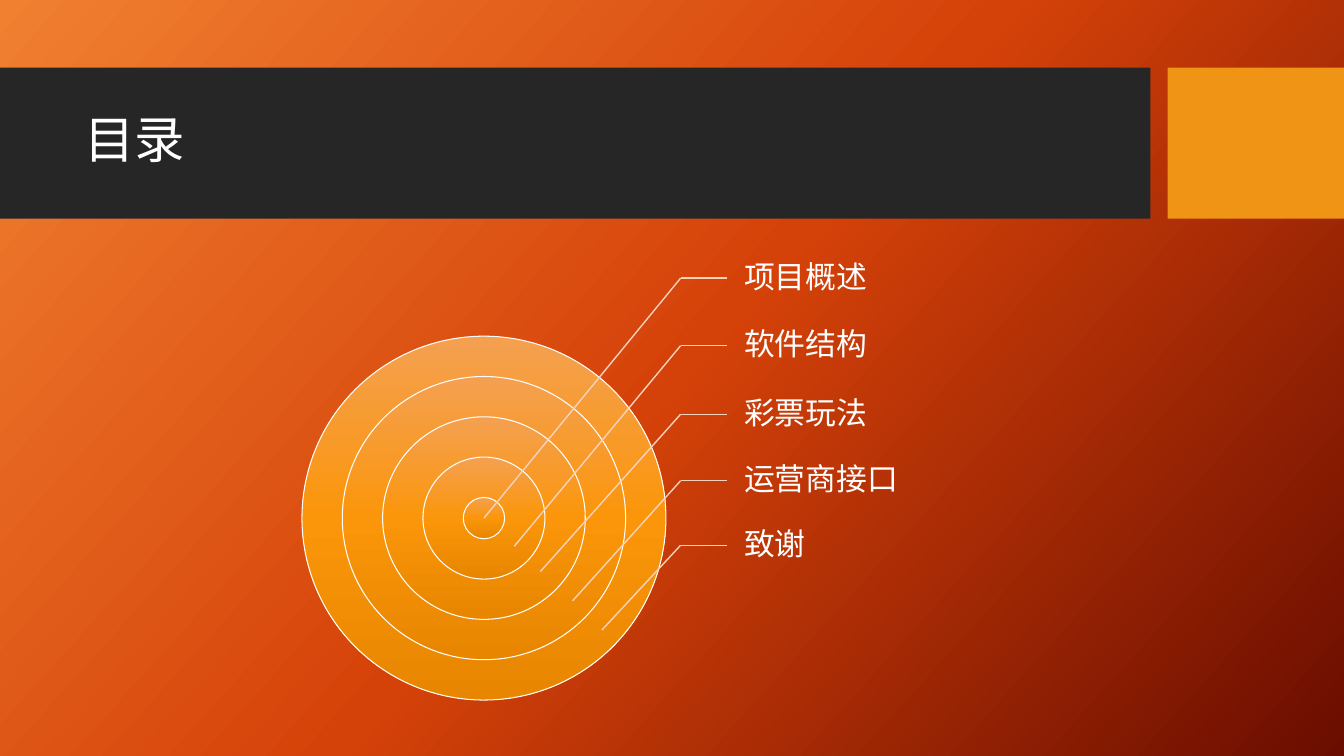
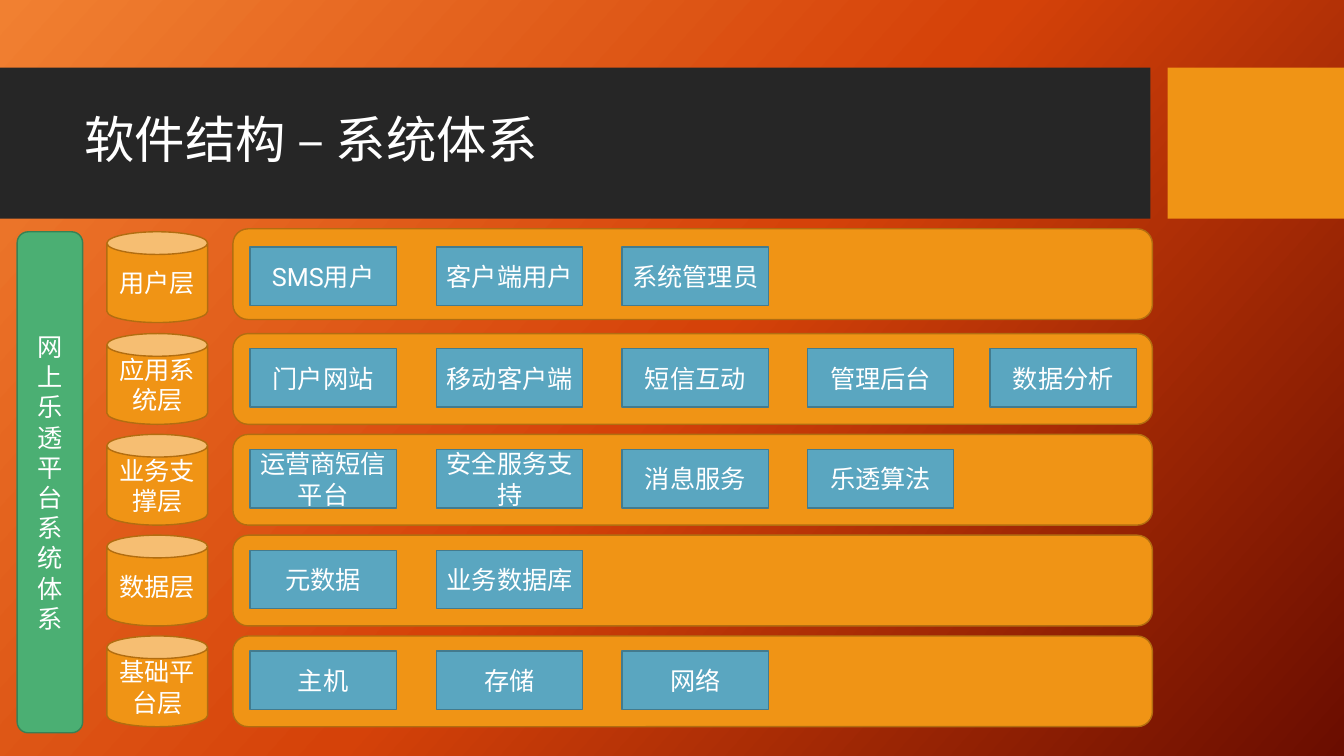
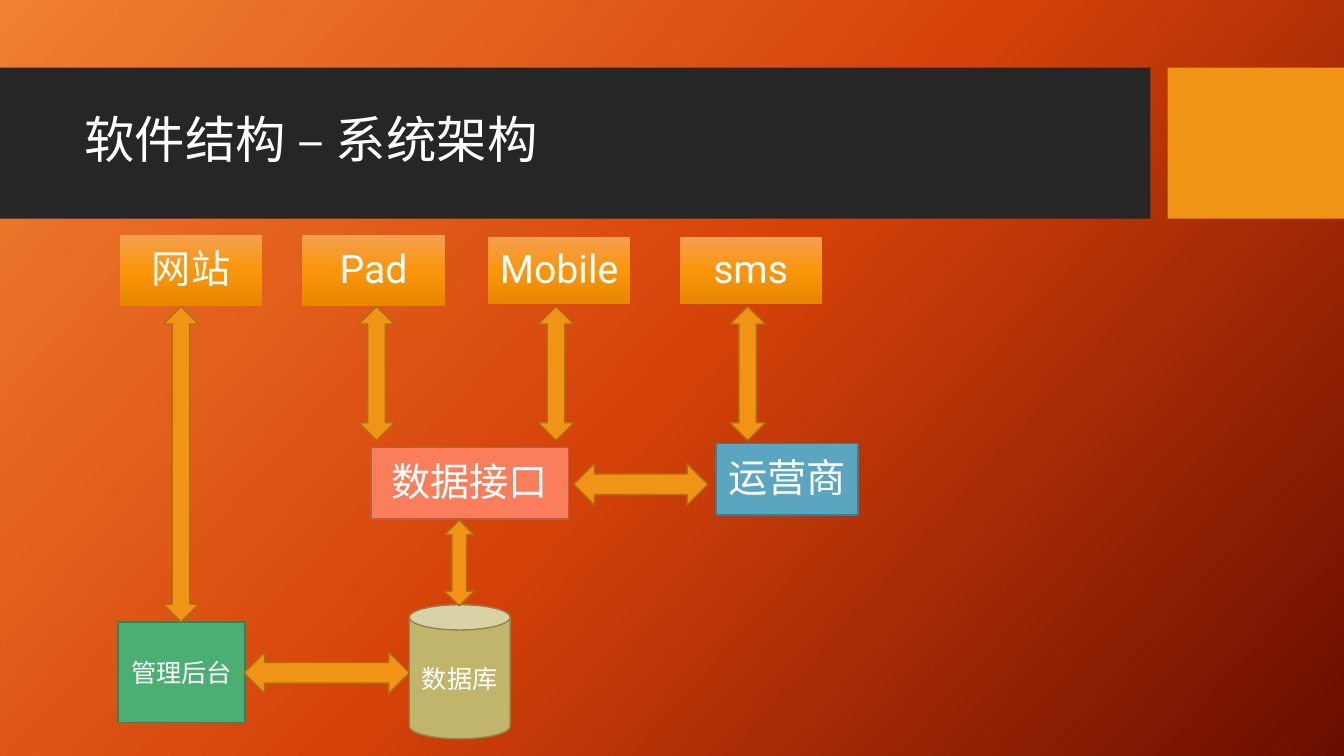
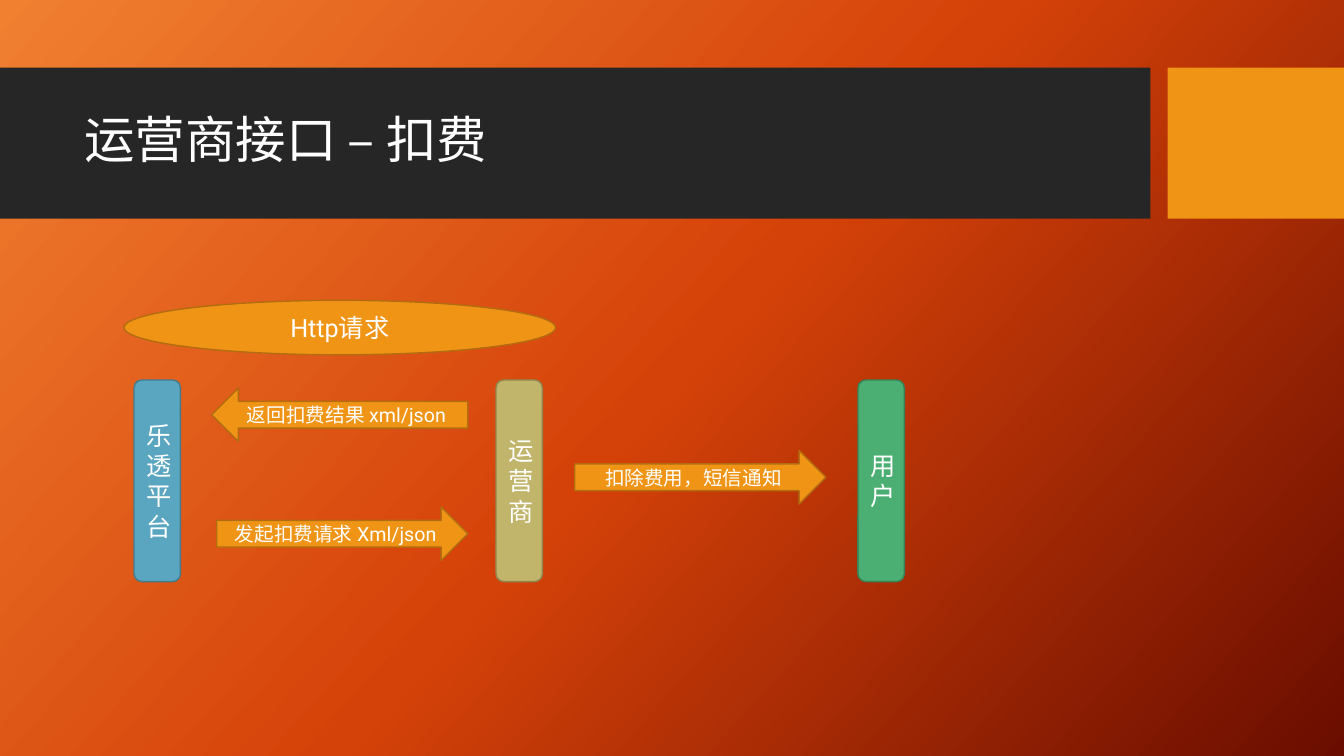
"""Builds four slides on the structure and operator interface of a lottery platform."""
from copy import deepcopy

from lxml import etree
from pptx import Presentation
from pptx.dml.color import RGBColor
from pptx.enum.shapes import MSO_CONNECTOR, MSO_SHAPE
from pptx.enum.text import MSO_ANCHOR, PP_ALIGN
from pptx.oxml.ns import qn
from pptx.util import Inches, Pt

RECT, ROUNDED, OVAL, CAN = (MSO_SHAPE.RECTANGLE, MSO_SHAPE.ROUNDED_RECTANGLE,
                            MSO_SHAPE.OVAL, MSO_SHAPE.CAN)
LEFT_ARROW, RIGHT_ARROW = MSO_SHAPE.LEFT_ARROW, MSO_SHAPE.RIGHT_ARROW
UP_DOWN, LEFT_RIGHT = MSO_SHAPE.UP_DOWN_ARROW, MSO_SHAPE.LEFT_RIGHT_ARROW
STRAIGHT = MSO_CONNECTOR.STRAIGHT
MIDDLE = MSO_ANCHOR.MIDDLE
LEFT, CENTER = PP_ALIGN.LEFT, PP_ALIGN.CENTER

FONT = "Roboto"
WHITE, DARK, LEADER = "FFFFFF", "262626", "F8D2BD"
BACKDROP = ("F18031", "D54209", "6A0D00")
GLOW = ("F4A050", "FB960A", "E88600")
ORANGE = ("F09415", "B26D10")
BLUE = ("5AA6C0", "437B8E")
GREEN = ("4BAF73", "378155")
KHAKI = ("C1B56B", "8F864F")
CORAL = ("FA7E5C", "B95D44")


def paint(fill, owner, colour, angle=270):
    """Fill with one colour, or with a gradient of three."""
    if isinstance(colour, str):
        fill.solid()
        fill.fore_color.rgb = RGBColor.from_string(colour)
        return
    fill.gradient()
    fill.gradient_angle = angle
    stop_list = owner.find(".//" + qn("a:gsLst"))
    stop_list.append(deepcopy(stop_list[0]))
    for stop, position, value in zip(fill.gradient_stops, (0, 0.5, 1), colour):
        stop.position = position
        stop.color.rgb = RGBColor.from_string(value)


def add_block(slide, preset, at, colours=(None, None), text="", size=18,
              align=CENTER, spacing=None, insets=None, weight=1):
    """Add a shape, or a text box when there is no preset."""
    place = [Inches(length) for length in at]
    if preset is None:
        block = slide.shapes.add_textbox(*place)
    else:
        block = slide.shapes.add_shape(preset, *place)
        block.shadow.inherit = False
        fill, line = colours
        paint(block.fill, block._element, fill)
        if line:
            block.line.color.rgb = RGBColor.from_string(line)
            block.line.width = Pt(weight)
        else:
            block.line.fill.background()
    if text:
        frame = block.text_frame
        frame.word_wrap = True
        frame.vertical_anchor = MIDDLE
        if insets:
            (frame.margin_left, frame.margin_top,
             frame.margin_right, frame.margin_bottom) = [Inches(inset) for inset in insets]
        paragraph = frame.paragraphs[0]
        paragraph.text = text
        paragraph.alignment = align
        paragraph.line_spacing = spacing
        paragraph.font.name = FONT
        paragraph.font.size = Pt(size)
        paragraph.font.color.rgb = RGBColor.from_string(WHITE)
    return block


deck = Presentation()
deck.slide_width, deck.slide_height = Inches(13.33), Inches(7.5)

slides = []
for title in ("目录", "软件结构 – 系统体系", "软件结构 – 系统架构", "运营商接口 – 扣费"):
    slide = deck.slides.add_slide(deck.slide_layouts[6])
    paint(slide.background.fill, slide._element, BACKDROP, 318)
    add_block(slide, RECT, (0, 0.67, 11.41, 1.5), (DARK, None))
    add_block(slide, RECT, (11.58, 0.67, 1.75, 1.5), (ORANGE[0], None))
    add_block(slide, None, (0.74, 0.82, 10.51, 1.18), text=title, size=36,
              align=LEFT, spacing=0.9)
    slides.append(slide)
contents, layers, architecture, billing = slides

for ring in range(5):
    diameter = 3.61 - 0.8 * ring
    add_block(contents, OVAL, (4.8 - diameter / 2, 5.14 - diameter / 2, diameter, diameter),
              (GLOW, WHITE), weight=0.75)

elbow_x, label_x, label_height = 6.75, 7.21, 0.64
topics = [
    ("项目概述", 2.76, (4.8, 5.14)),
    ("软件结构", 3.43, (5.1, 5.42)),
    ("彩票玩法", 4.11, (5.36, 5.67)),
    ("运营商接口", 4.77, (5.68, 5.96)),
    ("致谢", 5.41, (5.97, 6.25)),
]
for topic, y, target in topics:
    label = add_block(contents, None, (label_x, y - label_height / 2, 1.81, label_height),
                      text=topic, size=22, align=LEFT, spacing=0.9,
                      insets=(0.17, 0.03, 0.03, 0.03))
    for end in ((label_x, y), target):
        leader = contents.shapes.add_connector(
            STRAIGHT, *[Inches(length) for length in (elbow_x, y, *end)])
        leader.line.color.rgb = RGBColor.from_string(LEADER)
        leader.line.width = Pt(1)
        etree.SubElement(leader._element.spPr, qn("a:effectLst"))
        if end != target:
            leader.end_connect(label, 1)

add_block(layers, ROUNDED, (0.17, 2.3, 0.65, 4.97), GREEN, "网上乐透平台系统体系")
module_lefts = (2.48, 4.33, 6.17, 8.01, 9.82)
layer_rows = [
    ("用户层", 2.27, ("SMS用户", "客户端用户", "系统管理员")),
    ("应用系统层", 3.31, ("门户网站", "移动客户端", "短信互动", "管理后台", "数据分析")),
    ("业务支撑层", 4.31, ("运营商短信平台", "安全服务支持", "消息服务", "乐透算法")),
    ("数据层", 5.31, ("元数据", "业务数据库")),
    ("基础平台层", 6.31, ("主机", "存储", "网络")),
]
for row, (layer, band_top, modules) in enumerate(layer_rows):
    layer_top = 2.3 + 1.0 * row + (0.01 if row else 0)
    add_block(layers, ROUNDED, (2.31, band_top, 9.12, 0.9), ORANGE)
    add_block(layers, CAN, (1.06, layer_top, 1, 0.9), ORANGE, layer)
    for left, module in zip(module_lefts, modules):
        add_block(layers, RECT, (left, layer_top + 0.15, 1.45, 0.58), BLUE, module)

nodes = [
    ("网站", (1.19, 2.33, 1.41, 0.71), (GLOW, None)),
    ("Pad", (3, 2.33, 1.41, 0.71), (GLOW, None)),
    ("Mobile", (4.84, 2.35, 1.41, 0.67), (GLOW, None)),
    ("sms", (6.74, 2.35, 1.41, 0.67), (GLOW, None)),
    ("运营商", (7.1, 4.4, 1.41, 0.71), BLUE),
    ("数据接口", (3.68, 4.44, 1.96, 0.71), CORAL),
]
for node, at, colours in nodes:
    add_block(architecture, RECT, at, colours, node, 28, spacing=0.9, insets=(0.02,) * 4)
add_block(architecture, CAN, (4.06, 6, 1, 1.33), KHAKI, "数据库")
add_block(architecture, RECT, (1.17, 6.17, 1.26, 1), GREEN, "管理后台")

flows = [
    (LEFT_RIGHT, (5.69, 4.6, 1.33, 0.41)),
    (LEFT_RIGHT, (2.42, 6.47, 1.64, 0.41)),
    (UP_DOWN, (3.56, 3.04, 0.35, 1.33)),
    (UP_DOWN, (5.34, 3.04, 0.35, 1.33)),
    (UP_DOWN, (7.24, 3.04, 0.35, 1.33)),
    (UP_DOWN, (4.41, 5.16, 0.29, 0.85)),
    (UP_DOWN, (1.62, 3.04, 0.35, 3.13)),
]
for arrow, at in flows:
    add_block(architecture, arrow, at, ORANGE)

parties = [("乐透平台", BLUE), ("运营商", KHAKI), ("用户", GREEN)]
for column, (party, colours) in enumerate(parties):
    add_block(billing, ROUNDED, (1.33 + 3.59 * column, 3.77, 0.46, 2), colours, party)

messages = [
    (RIGHT_ARROW, (2.15, 5.03, 2.49, 0.53), "发起扣费请求 Xml/json"),
    (RIGHT_ARROW, (5.7, 4.47, 2.49, 0.53), "扣除费用，短信通知"),
    (LEFT_ARROW, (2.1, 3.85, 2.54, 0.53), "返回扣费结果 xml/json"),
]
for arrow, at, message in messages:
    add_block(billing, arrow, at, ORANGE, message, 14)
add_block(billing, OVAL, (1.23, 2.98, 4.28, 0.54), ORANGE, "Http请求")

deck.save("out.pptx")
